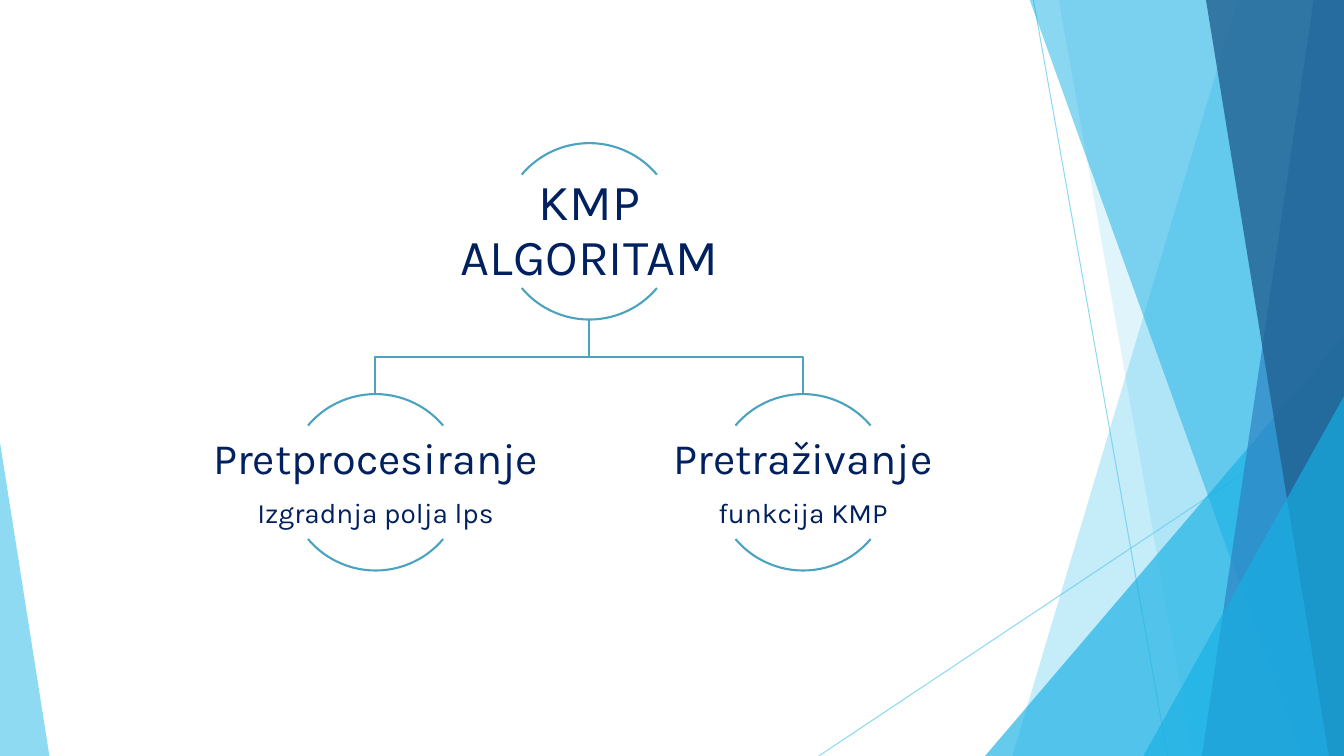
"""Build a slide with the two phases of the KMP algorithm on a faceted background."""
import dataclasses

import lxml.etree
import pptx
import pptx.dml.color
import pptx.enum.shapes
import pptx.enum.text
import pptx.oxml.ns
import pptx.util

PX = 9144
WIDTH, HEIGHT = 1333, 750
TOP = -1
FONT = "Karla"
COLOURS = {
    "sky": "5FCBEF",
    "azure": "17B0E4",
    "blue": "2E83C3",
    "navy": "226292",
    "outline": "4CA3BF",
    "text": "002060",
}
ARC_SIZE = 175
ARC_SPANS = ((220, 320), (40, 140))
TEXT_WIDTH, TEXT_HEIGHT, TEXT_DROP = 351, 112, 32
LINK_GAP = 37


@dataclasses.dataclass(frozen=True)
class Ray:
    start: tuple[int, int]
    end: tuple[int, int]


@dataclasses.dataclass(frozen=True)
class Band:
    top_left: int
    bottom_left: int
    colour: str
    opacity: int


@dataclasses.dataclass(frozen=True)
class Corner:
    left: int
    top: int
    width: int
    apex: int
    colour: str
    opacity: int


@dataclasses.dataclass(frozen=True)
class Node:
    centre: int
    top: int
    inset: int
    lines: tuple[tuple[str, int], ...]


RAYS = (Ray((1025, 0), (1158, HEIGHT)), Ray((WIDTH, 403), (812, HEIGHT)))
FACETS = (
    Band(1228, 1004, "sky", 36),
    Band(1050, 1183, "sky", 20),
    Corner(977, 333, 356, 1, "azure", 66),
    Band(1021, 1291, "azure", 50),
    Band(1303, 1192, "blue", 70),
    Band(1196, 1318, "navy", 80),
    Corner(1134, 393, 199, 1, "azure", 66),
    Corner(0, 439, 49, 0, "sky", 70),
)
ROOT = Node(584, 142, 3, (("KMP ALGORITAM", 36),))
PHASES = (
    Node(372, 391, 2, (("Pretprocesiranje", 31), ("Izgradnja polja lps", 20))),
    Node(796, 391, 2, (("Pretraživanje", 31), ("funkcija KMP", 20))),
)


def px(*lengths: int) -> list[pptx.util.Emu]:
    return [pptx.util.Emu(length * PX) for length in lengths]


def rgb(name: str) -> pptx.dml.color.RGBColor:
    return pptx.dml.color.RGBColor.from_string(COLOURS[name])


def set_opacity(shape, percent: int) -> None:
    colour = next(shape._element.spPr.iter(pptx.oxml.ns.qn("a:srgbClr")))
    alpha = lxml.etree.SubElement(colour, pptx.oxml.ns.qn("a:alpha"))
    alpha.set("val", str(percent * 1000))


def add_ray(page, ray: Ray) -> None:
    line = page.shapes.add_connector(
        pptx.enum.shapes.MSO_CONNECTOR.STRAIGHT, *px(*ray.start, *ray.end)
    )
    line.line.color.rgb = rgb("sky")
    line.line.width = pptx.util.Pt(0.75)
    set_opacity(line, 70)
    lxml.etree.SubElement(line._element.spPr, pptx.oxml.ns.qn("a:effectLst"))


def add_path(page, points: list[tuple[int, int]], closed: bool):
    builder = page.shapes.build_freeform(*points[0], scale=PX)
    builder.add_line_segments(points[1:], close=closed)
    return builder.convert_to_shape()


def add_facet(page, facet: Band | Corner) -> None:
    if isinstance(facet, Band):
        shape = add_path(
            page,
            [(facet.top_left, TOP), (WIDTH, TOP), (WIDTH, HEIGHT), (facet.bottom_left, HEIGHT)],
            True,
        )
    else:
        shape = page.shapes.add_shape(
            pptx.enum.shapes.MSO_SHAPE.ISOSCELES_TRIANGLE,
            *px(facet.left, facet.top, facet.width, HEIGHT - facet.top),
        )
        shape.adjustments[0] = facet.apex
    shape.shadow.inherit = False
    shape.fill.solid()
    shape.fill.fore_color.rgb = rgb(facet.colour)
    set_opacity(shape, facet.opacity)
    shape.line.fill.background()


def outline(shape) -> None:
    shape.shadow.inherit = False
    shape.fill.background()
    shape.line.color.rgb = rgb("outline")
    shape.line.width = pptx.util.Pt(1.5)


def add_link(page, parent: Node, child: Node) -> None:
    start = parent.top + ARC_SIZE
    bend = start + LINK_GAP
    points = [
        (parent.centre, start),
        (parent.centre, bend),
        (child.centre, bend),
        (child.centre, child.top),
    ]
    outline(add_path(page, points, False))


def add_node(page, node: Node) -> None:
    for span in ARC_SPANS:
        arc = page.shapes.add_shape(
            pptx.enum.shapes.MSO_SHAPE.ARC,
            *px(node.centre - ARC_SIZE // 2, node.top, ARC_SIZE, ARC_SIZE),
        )
        for index, degrees in enumerate(span):
            arc.adjustments[index] = degrees * 60000 / 100000
        outline(arc)
    box = page.shapes.add_textbox(
        *px(node.centre - TEXT_WIDTH // 2, node.top + TEXT_DROP, TEXT_WIDTH, TEXT_HEIGHT)
    )
    frame = box.text_frame
    frame.word_wrap = True
    frame.vertical_anchor = pptx.enum.text.MSO_ANCHOR.MIDDLE
    frame.margin_left, frame.margin_top, frame.margin_right, frame.margin_bottom = px(
        *[node.inset] * 4
    )
    for index, (text, size) in enumerate(node.lines):
        para = frame.add_paragraph() if index else frame.paragraphs[0]
        para.alignment = pptx.enum.text.PP_ALIGN.CENTER
        para.line_spacing = 0.9
        para.space_after = pptx.util.Pt(round(size * 0.35))
        span = para.add_run()
        span.text = text
        span.font.name = FONT
        span.font.size = pptx.util.Pt(size)
        span.font.color.rgb = rgb("text")


def main() -> None:
    deck = pptx.Presentation()
    deck.slide_width, deck.slide_height = px(WIDTH, HEIGHT)
    page = deck.slides.add_slide(deck.slide_layouts.get_by_name("Blank"))
    for ray in RAYS:
        add_ray(page, ray)
    for facet in FACETS:
        add_facet(page, facet)
    for phase in reversed(PHASES):
        add_link(page, ROOT, phase)
    for node in (ROOT, *PHASES):
        add_node(page, node)
    deck.save("out.pptx")


if __name__ == "__main__":
    main()
